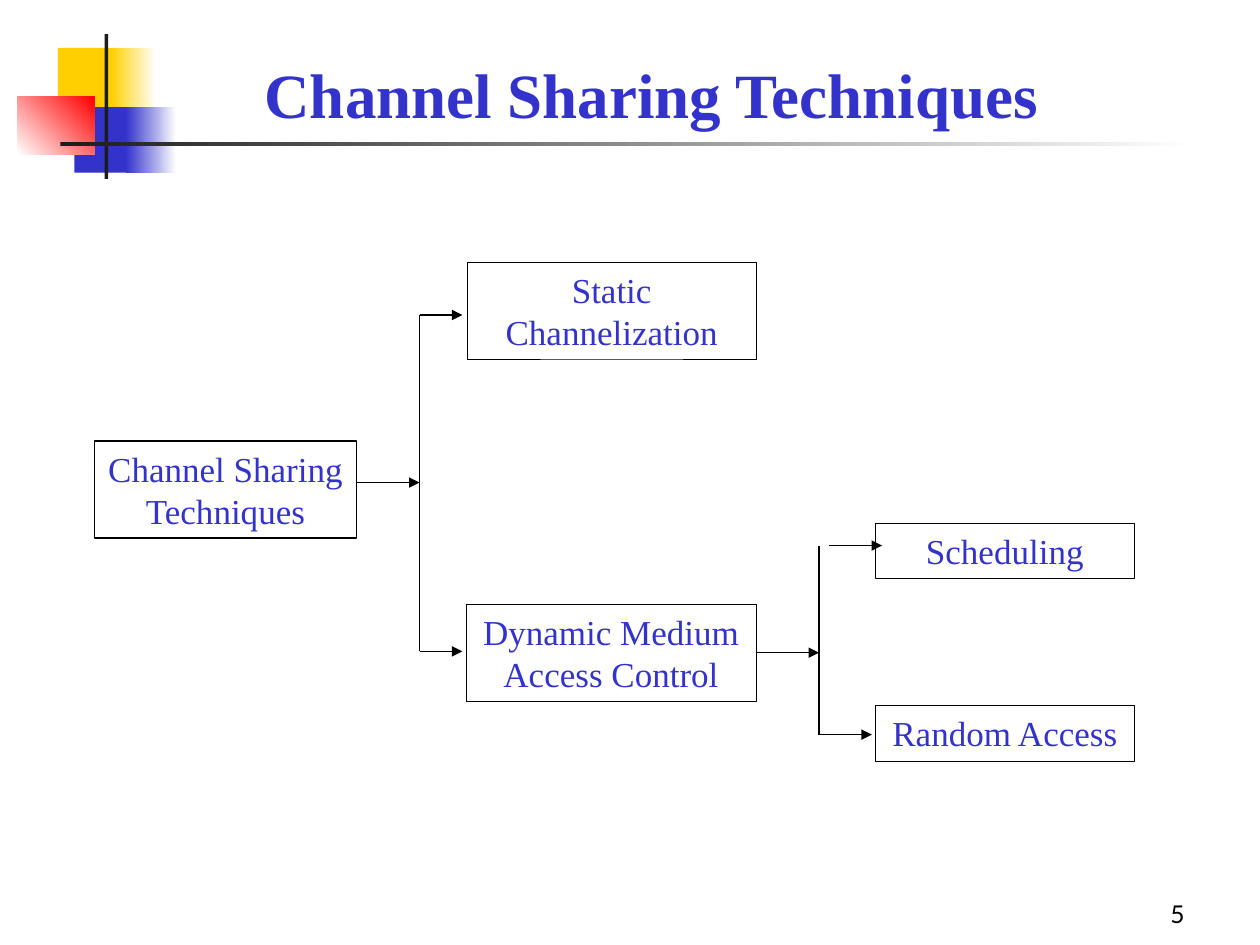
from lxml import etree
from pptx import Presentation, util as u
from pptx.dml.color import RGBColor
from pptx.enum import shapes, text
from pptx.oxml.ns import qn

COLORS = {"blue": "3333CC", "yellow": "FFCF01", "red": "FF0000",
          "white": "FFFFFF", "ink": "1C1C1C", "black": "000000"}
SERIF, SANS = "Times New Roman", "Lato"

# Content
TITLE, PAGE = "Channel Sharing Techniques", "5"
ONE_LINE, TWO_LINES = 0.44, 0.77
DYNAMIC_Y = 5.18
# key: label, left, top, width, height, border width
TOPICS = {
    "root": ("Channel Sharing Techniques", 0.75, 3.5, 2.08, TWO_LINES, 0.75),
    "static": ("Static Channelization", 3.71, 2.08, 2.29, TWO_LINES, 0.25),
    "dynamic": ("Dynamic Medium Access Control", 3.7, DYNAMIC_Y - TWO_LINES / 2,
                2.3, TWO_LINES, 0.25),
    "scheduling": ("Scheduling", 6.95, 4.15, 2.05, ONE_LINE, 0.25),
    "random": ("Random Access", 6.95, 5.6, 2.05, ONE_LINE, 0.25),
}
# parent, trunk x, parent y, branches as (start x, end x, y)
FORKS = [
    ("root", 3.33, 3.83, [(3.33, 3.67, 2.5), (3.33, 3.67, 5.17)]),
    ("dynamic", 6.5, DYNAMIC_Y, [(6.58, 7, 4.33), (6.5, 6.92, 5.83)]),
]
# left, top, width, height, start colour, end colour, angle (counter-clockwise)
ORNAMENT = [
    (0.46, 0.38, 0.48, 0.52, "yellow", None, 0),
    (0.88, 0.38, 0.36, 0.52, "yellow", "white", 0),
    (0.59, 0.85, 0.46, 0.52, "blue", None, 0),
    (1, 0.85, 0.4, 0.52, "blue", "white", 0),
    (0.14, 0.77, 0.61, 0.46, "white", "red", 45),
    (0.83, 0.27, 0.03, 1.15, "ink", None, 0),
    (0.48, 1.13, 9, 0.03, "ink", "white", 0),
]


def rgb(name):
    return RGBColor.from_string(COLORS[name])


def inches(*lengths):
    return [u.Inches(length) for length in lengths]


def write(holder, words, size, font=SERIF, color="blue", bold=False,
          align="CENTER", anchor="TOP", spacing=None):
    frame = holder.text_frame
    frame.word_wrap = True
    frame.auto_size = text.MSO_AUTO_SIZE.NONE
    frame.vertical_anchor = text.MSO_ANCHOR[anchor]
    paragraph = frame.paragraphs[0]
    paragraph.alignment = text.PP_ALIGN[align]
    if spacing:
        paragraph.line_spacing = u.Pt(spacing)
    run = paragraph.add_run()
    run.text = words
    run.font.size, run.font.name, run.font.bold = u.Pt(size), font, bold
    run.font.color.rgb = rgb(color)


def add_rectangle(slide, *place):
    rectangle = slide.shapes.add_shape(shapes.MSO_SHAPE.RECTANGLE, *inches(*place))
    rectangle.shadow.inherit = False
    return rectangle


def add_ornament(slide, left, top, width, height, start, end, angle):
    block = add_rectangle(slide, left, top, width, height)
    block.line.fill.background()
    if end is None:
        block.fill.solid()
        block.fill.fore_color.rgb = rgb(start)
        return
    block.fill.gradient()
    block.fill.gradient_angle = angle
    for stop, color in zip(block.fill.gradient_stops, (start, end)):
        stop.color.rgb = rgb(color)


def add_topic(slide, label, left, top, width, height, border):
    topic = add_rectangle(slide, left, top, width, height)
    topic.fill.background()
    topic.line.color.rgb = rgb("black")
    topic.line.width = u.Pt(border)
    write(topic, label, 20, spacing=24)
    return topic


def add_line(slide, x1, y1, x2, y2, arrow=True):
    line = slide.shapes.add_connector(shapes.MSO_CONNECTOR.STRAIGHT,
                                      *inches(x1, y1, x2, y2))
    line.line.color.rgb = rgb("black")
    line.line.width = u.Pt(0.75)
    if arrow:
        etree.SubElement(line.line._get_or_add_ln(), qn("a:tailEnd"), type="triangle")
    etree.SubElement(line._element.spPr, qn("a:effectLst"))
    return line


def main():
    deck = Presentation()
    deck.slide_width, deck.slide_height = inches(10, 7.5)
    slide = deck.slides.add_slide(deck.slide_layouts[5])

    # Corner ornament and rule
    for block in ORNAMENT:
        add_ornament(slide, *block)

    # Title and page number
    title = slide.shapes.title
    title.left, title.top, title.width, title.height = inches(0.92, 0.17, 8.5, 0.92)
    write(title, TITLE, 36, bold=True, anchor="BOTTOM")
    page = slide.shapes.add_textbox(*inches(7.42, 6.92, 2.08, 0.5))
    write(page, PAGE, 14, font=SANS, color="black", align="RIGHT", anchor="BOTTOM")

    # Topic tree
    topics = {key: add_topic(slide, *topic) for key, topic in TOPICS.items()}
    for parent, trunk, y, branches in FORKS:
        _, left, _, width, _, _ = TOPICS[parent]
        stem = add_line(slide, left + width, y, trunk, y)
        if parent == "dynamic":
            stem.begin_connect(topics[parent], 3)
        add_line(slide, trunk, branches[0][2], trunk, branches[-1][2], arrow=False)
        for start, end, branch_y in branches:
            add_line(slide, start, branch_y, end, branch_y)

    deck.save("out.pptx")


if __name__ == "__main__":
    main()
